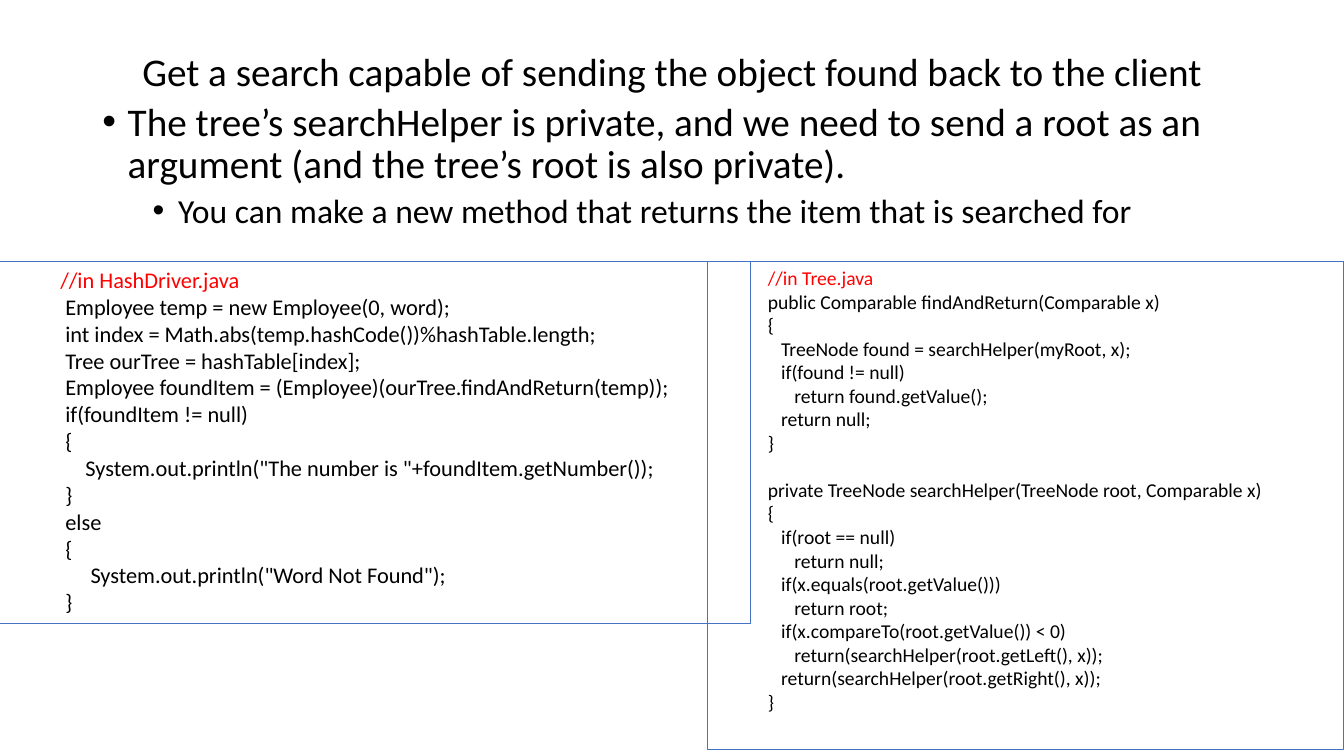
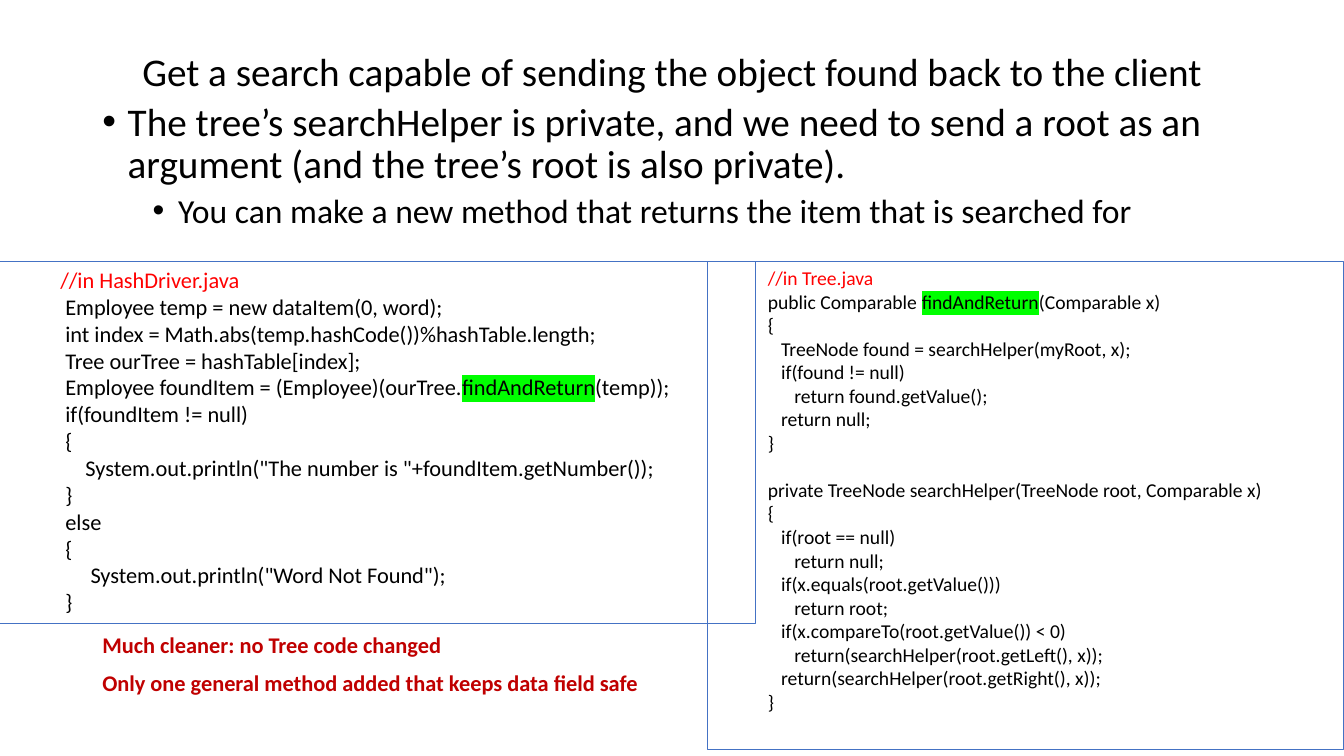
"""Build two slides on returning a found object from a tree search."""
from dataclasses import dataclass

from lxml.etree import SubElement
from pptx import Presentation
from pptx.dml.color import RGBColor
from pptx.enum.shapes import MSO_SHAPE
from pptx.enum.text import MSO_ANCHOR, PP_ALIGN
from pptx.oxml.ns import qn
from pptx.util import Cm, Pt


@dataclass(frozen=True)
class Theme:
    face: str = "Calibri"
    ink: str = "000000"
    red: str = "FF0000"
    deep: str = "C00000"
    edge: str = "4472C4"
    glow: str = "00FF00"
    head: int = 28
    sub: int = 24
    code: int = 16
    small: int = 14


LEFT, WIDE = 2.33, 29.21
CODE_TOP = 6.58
TITLE = "Get a search capable of sending the object found back to the client"
POINTS = [
    ("The tree’s searchHelper is private, and we need to send a root as an "
     "argument (and the tree’s root is also private).", 0),
    ("You can make a new method that returns the item that is searched for", 1),
]
NOTES = [
    "Much cleaner: no Tree code changed",
    "Only one general method added that keeps data field safe",
]
METHOD = "findAndReturn"
TREE = """public Comparable findAndReturn(Comparable x)
{
   TreeNode found = searchHelper(myRoot, x);
   if(found != null)
      return found.getValue();
   return null;
}

private TreeNode searchHelper(TreeNode root, Comparable x)
{
   if(root == null)
      return null;
   if(x.equals(root.getValue()))
      return root;
   if(x.compareTo(root.getValue()) < 0)
      return(searchHelper(root.getLeft(), x));
   return(searchHelper(root.getRight(), x));
}"""
DRIVER = """ Employee temp = new TYPE(0, word);
 int index = Math.abs(temp.hashCode())%hashTable.length;
 Tree ourTree = hashTable[index];
 Employee foundItem = (Employee)(ourTree.findAndReturn(temp));
 if(foundItem != null)
 {
     System.out.println("The number is "+foundItem.getNumber());
 }
 else
 {
      System.out.println("Word Not Found");
 }"""


class Deck:
    """Hold the theme and the current slide."""

    def __init__(self):
        self.theme = Theme()
        self.show = Presentation()
        self.show.slide_width = Cm(33.87)
        self.show.slide_height = Cm(19.05)
        self.slide = None

    def start(self):
        """Add a blank slide."""
        self.slide = self.show.slides.add_slide(self.show.slide_layouts[6])

    def style(self, para, size, tone, bold=False):
        """Set the font of a paragraph."""
        font = para.font
        font.name, font.size, font.bold = self.theme.face, Pt(size), bold
        font.color.rgb = RGBColor.from_string(tone)

    def block(self, top, high):
        """Add an empty text box and return its frame."""
        box = self.slide.shapes.add_textbox(
            Cm(LEFT), Cm(top), Cm(WIDE), Cm(high))
        box.text_frame.word_wrap = True
        return box.text_frame

    def line(self, frame, rank, text, gap):
        """Add one paragraph of prose with space before all but the first."""
        para = frame.add_paragraph() if rank else frame.paragraphs[0]
        para.text = text
        para.line_spacing = 0.9
        if rank:
            para.space_before = Pt(gap)
        return para

    def title(self, text):
        """Add the centred title."""
        frame = self.block(1.02, 1.68)
        frame.vertical_anchor = MSO_ANCHOR.MIDDLE
        para = self.line(frame, 0, text, 0)
        para.alignment = PP_ALIGN.CENTER
        self.style(para, self.theme.head, self.theme.ink)

    def points(self, items):
        """Add the bullet list."""
        frame = self.block(2.46, 3.8)
        for rank, (text, depth) in enumerate(items):
            para = self.line(frame, rank, text, 5)
            props = para._p.get_or_add_pPr()
            props.set("marL", str(Cm(0.64 + 1.27 * depth)))
            props.set("indent", str(-Cm(0.64)))
            SubElement(props, qn("a:buFont")).set("typeface", "Arial")
            SubElement(props, qn("a:buChar")).set("char", "•")
            size = self.theme.sub if depth else self.theme.head
            self.style(para, size, self.theme.ink)

    def notes(self, items):
        """Add the bold closing remarks."""
        frame = self.block(15.85, 2)
        for rank, text in enumerate(items):
            para = self.line(frame, rank, text, 10)
            self.style(para, self.theme.code, self.theme.deep, True)

    def mark(self, run):
        """Highlight a run."""
        glow = SubElement(run.font._element, qn("a:highlight"))
        SubElement(glow, qn("a:srgbClr")).set("val", self.theme.glow)

    def code(self, left, wide, high, size, name, text, lit):
        """Add a framed listing, with the method lit up if asked."""
        box = self.slide.shapes.add_shape(
            MSO_SHAPE.RECTANGLE, Cm(left), Cm(CODE_TOP), Cm(wide), Cm(high))
        box.shadow.inherit = False
        box.fill.background()
        box.line.color.rgb = RGBColor.from_string(self.theme.edge)
        box.line.width = Pt(0.75)
        frame = box.text_frame
        frame.word_wrap = True
        frame.vertical_anchor = MSO_ANCHOR.TOP
        frame.margin_left = Cm(1.52)
        head, body = frame.paragraphs[0], frame.add_paragraph()
        head.text = f"//in {name}"
        for para, tone in ((head, self.theme.red), (body, self.theme.ink)):
            para.alignment = PP_ALIGN.LEFT
            self.style(para, size, tone)
        for rank, row in enumerate(text.split("\n")):
            if rank:
                body.add_line_break()
            for part in row.partition(METHOD) if lit else [row]:
                if part:
                    run = body.add_run()
                    run.text = part
                    if lit and part == METHOD:
                        self.mark(run)


def main():
    """Build and save the slides."""
    deck = Deck()
    theme = deck.theme
    for kind, wide, lit in (("Employee", 18.92, False), ("dataItem", 19.05, True)):
        deck.start()
        deck.title(TITLE)
        deck.points(POINTS)
        deck.code(17.83, 16.03, 12.32, theme.small, "Tree.java", TREE, lit)
        deck.code(0, wide, 9.14, theme.code, "HashDriver.java",
                  DRIVER.replace("TYPE", kind), lit)
        if lit:
            deck.notes(NOTES)
    deck.show.save("out.pptx")


if __name__ == "__main__":
    main()
